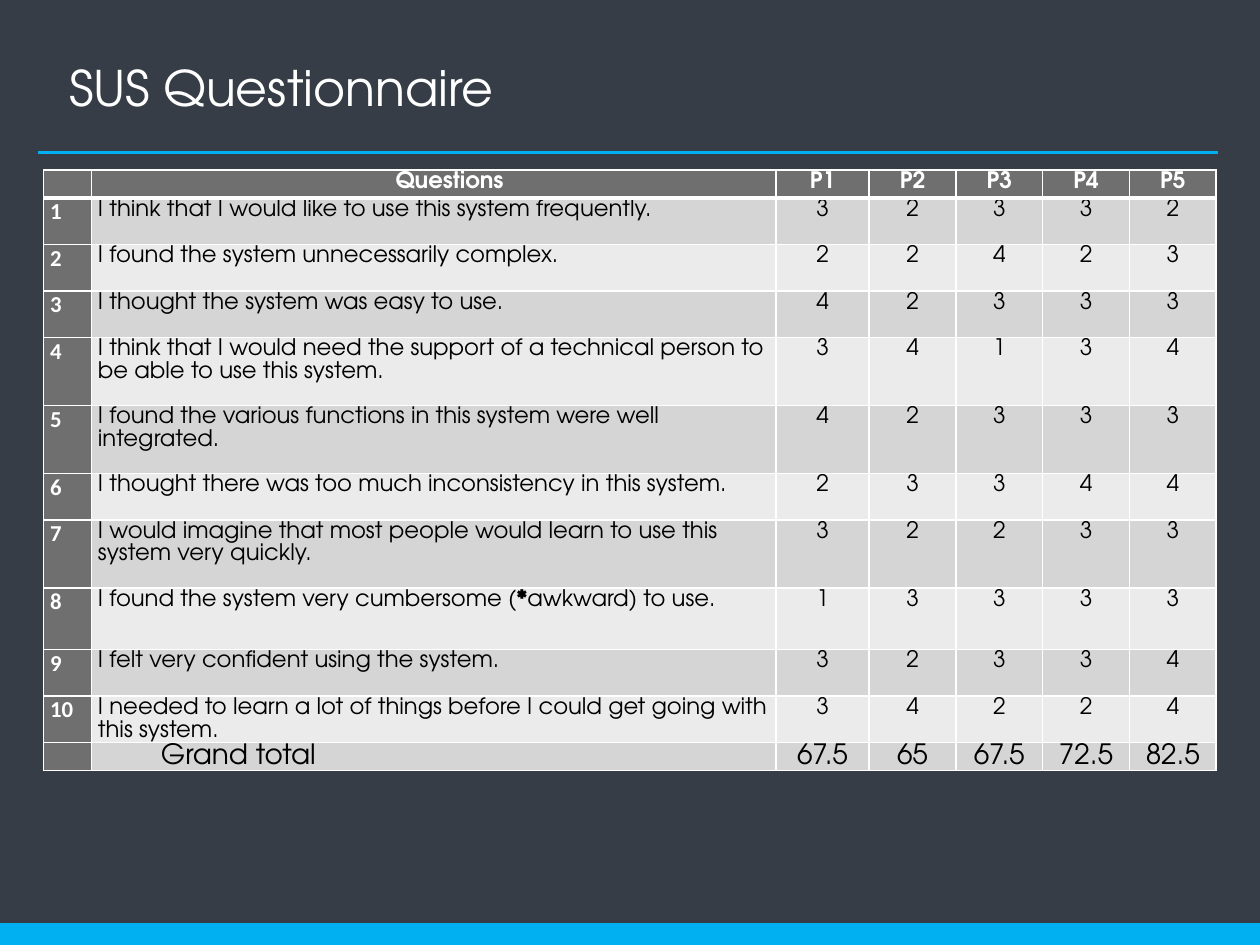
from lxml import etree
from pptx import Presentation
from pptx.dml.color import RGBColor
from pptx.enum import shapes, text
from pptx.oxml import ns
from pptx.util import Pt

COLORS = {"page": "363D46", "accent": "00B0F0", "white": "FFFFFF", "black": "000000",
          "header": "6F6F6F", "odd": "D5D5D5", "even": "EBEBEB"}
FONT = "TeX Gyre Adventor"
NUMBER_FONT = "Calibri"
PEOPLE = ["P1", "P2", "P3", "P4", "P5"]
# Heights of rows with one line, with two lines, and the header and total rows
ONE, TWO, EDGE = 26.6, 38.8, 16
QUESTIONS = [
    ("I think that I would like to use this system frequently.", [3, 2, 3, 3, 2], ONE),
    ("I found the system unnecessarily complex.", [2, 2, 4, 2, 3], ONE),
    ("I thought the system was easy to use.", [4, 2, 3, 3, 3], ONE),
    ("I think that I would need the support of a technical person to be able to use "
     "this system.", [3, 4, 1, 3, 4], TWO),
    ("I found the various functions in this system were well integrated.",
     [4, 2, 3, 3, 3], TWO),
    ("I thought there was too much inconsistency in this system.", [2, 3, 3, 4, 4], ONE),
    ("I would imagine that most people would learn to use this system very quickly.",
     [3, 2, 2, 3, 3], TWO),
    ("I found the system very cumbersome (*awkward) to use.", [1, 3, 3, 3, 3], 35.3),
    ("I felt very confident using the system.", [3, 2, 3, 3, 4], ONE),
    ("I needed to learn a lot of things before I could get going with this system.",
     [3, 4, 2, 2, 4], ONE),
]
TOTALS = [67.5, 65, 67.5, 72.5, 82.5]
COLUMNS = [27.4, 391] + [53.3] + [49.6] * 4


def color(name):
    return RGBColor.from_string(COLORS[name])


def set_font(font, size, shade, name=FONT, bold=False):
    font.name, font.size, font.bold = name, Pt(size), bold
    font.color.rgb = color(shade)


def add_title(page, left, top, width, height):
    title = page.shapes.title
    title.left, title.top, title.width, title.height = map(Pt, (left, top, width, height))
    frame = title.text_frame
    frame.text = "SUS Questionnaire"
    frame.vertical_anchor = text.MSO_ANCHOR.MIDDLE
    para = frame.paragraphs[0]
    para.alignment = text.PP_ALIGN.LEFT
    set_font(para.font, 28, "white")


def add_rule(page, left, top, width):
    rule = page.shapes.add_connector(shapes.MSO_CONNECTOR.STRAIGHT, Pt(left), Pt(top),
                                     Pt(left + width), Pt(top))
    rule.line.color.rgb = color("accent")
    rule.line.width = Pt(1.5)
    etree.SubElement(rule._element.spPr, ns.qn("a:effectLst"))


def add_footer_bar(page, left, top, width, height):
    bar = page.shapes.add_shape(shapes.MSO_SHAPE.RECTANGLE,
                                Pt(left), Pt(top), Pt(width), Pt(height))
    bar.shadow.inherit = False
    bar.fill.solid()
    bar.fill.fore_color.rgb = color("accent")
    bar.line.color.rgb = color("accent")
    bar.line.width = Pt(1.5)


def set_borders(cell, top=1, bottom=1):
    props = cell._tc.get_or_add_tcPr()
    for index, (side, width) in enumerate(zip("LRTB", (1, 1, top, bottom))):
        line = etree.Element(ns.qn(f"a:ln{side}"), w=str(int(Pt(width))))
        fill = etree.SubElement(line, ns.qn("a:solidFill"))
        etree.SubElement(fill, ns.qn("a:srgbClr"), val=COLORS["white"])
        props.insert(index, line)


def fill_cell(cell, words, size, shade, fill, name=FONT, bold=False,
              centred=False, indent=0, spacing=1.07):
    cell.margin_left = cell.margin_right = Pt(3.6)
    cell.margin_top = cell.margin_bottom = 0
    cell.fill.solid()
    cell.fill.fore_color.rgb = color(fill)
    para = cell.text_frame.paragraphs[0]
    para.alignment = text.PP_ALIGN.CENTER if centred else text.PP_ALIGN.LEFT
    para.line_spacing = spacing
    para._p.get_or_add_pPr().set("marL", str(int(Pt(indent))))
    set_font(para.font, size, shade, name, bold)
    for part in words.partition("*"):
        if part:
            span = para.add_run()
            span.text = part
            if part == "*":
                span.font.bold = True
    if not words:
        etree.SubElement(para._p, ns.qn("a:endParaRPr"), sz=str(size * 100))


def add_score_table(page, left, top):
    heights = [EDGE] + [height for _, _, height in QUESTIONS] + [EDGE]
    last = len(heights) - 1
    frame = page.shapes.add_table(len(heights), len(COLUMNS), Pt(left), Pt(top),
                                  Pt(sum(COLUMNS)), Pt(sum(heights)))
    table = frame.table
    table.first_row = table.horz_banding = False
    for column, width in zip(table.columns, COLUMNS):
        column.width = Pt(width)
    for row, height in zip(table.rows, heights):
        row.height = Pt(height)

    lines = [("", "Questions", PEOPLE)]
    lines += [(str(number), question, scores)
              for number, (question, scores, _) in enumerate(QUESTIONS, 1)]
    lines.append(("", "Grand total", TOTALS))
    for index, (number, label, values) in enumerate(lines):
        header, total = index == 0, index == last
        look = {"size": 16 if total else 13, "bold": header,
                "shade": "white" if header else "black",
                "fill": "header" if header else "odd" if index % 2 else "even"}
        cells = list(table.rows[index].cells)
        fill_cell(cells[0], number, 13, "white", "header", NUMBER_FONT, True, spacing=1)
        fill_cell(cells[1], label, centred=header,
                  indent=18 if header else 36 if total else 0, **look)
        for cell, value in zip(cells[2:], values):
            fill_cell(cell, str(value), centred=True, **look)
        for cell in cells:
            set_borders(cell, top=3 if index == 1 else 1, bottom=3 if header else 1)


def main():
    deck = Presentation()
    deck.slide_width, deck.slide_height = Pt(720), Pt(540)
    page = deck.slides.add_slide(deck.slide_layouts[5])
    page.background.fill.solid()
    page.background.fill.fore_color.rgb = color("page")
    add_title(page, 32.4, 12.2, 653.8, 74.9)
    add_rule(page, 21.6, 87.1, 674.6)
    add_footer_bar(page, 0, 528, 720, 12)
    add_score_table(page, 25, 97.2)
    deck.save("out.pptx")


if __name__ == "__main__":
    main()
